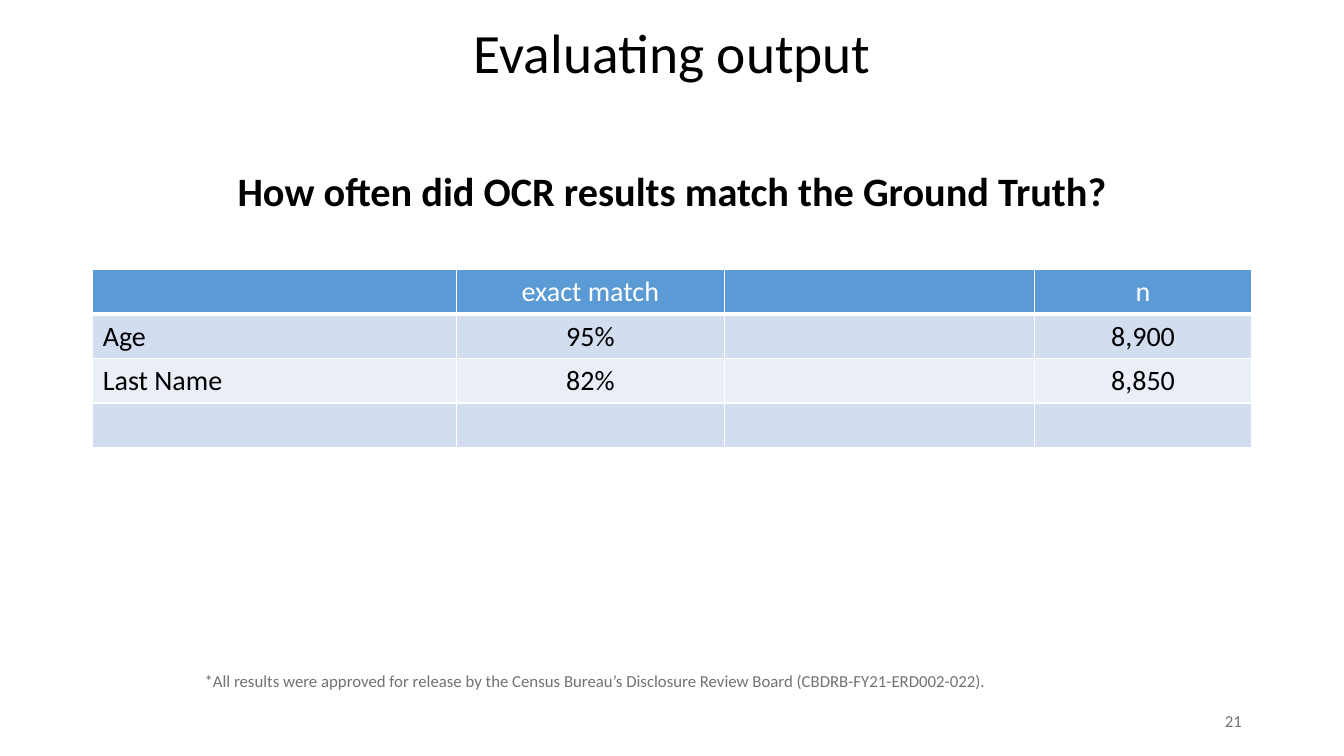
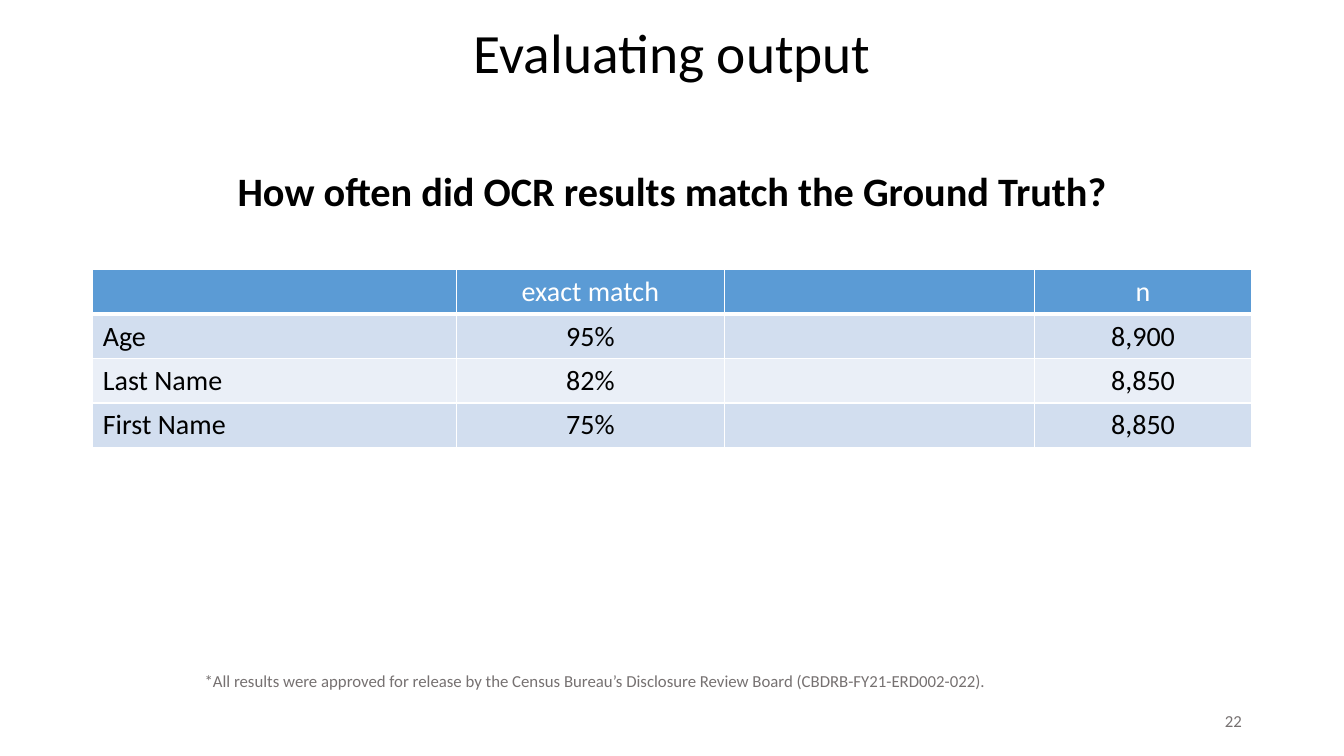
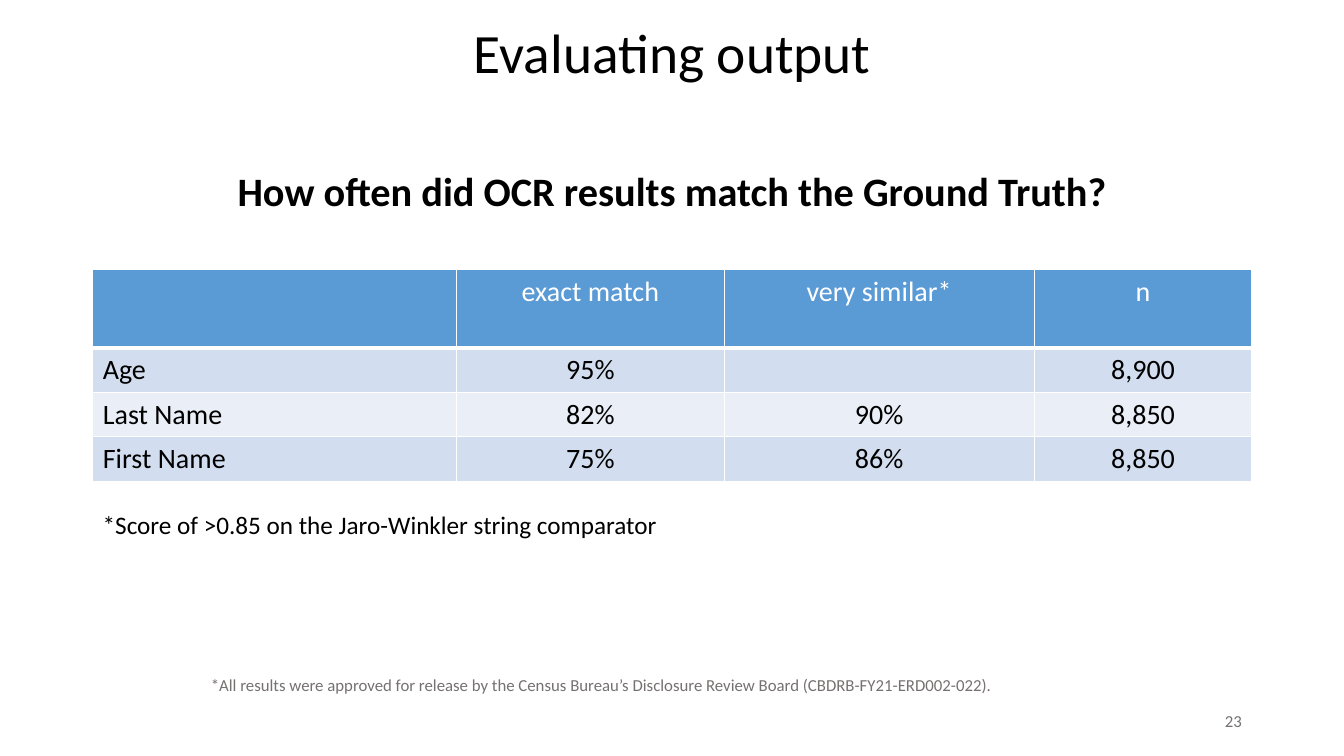
import pptx
import pptx.dml.color
import pptx.enum.text
import pptx.oxml
import pptx.oxml.ns
import pptx.util

Pt = pptx.util.Pt
ALIGN = pptx.enum.text.PP_ALIGN
ANCHOR = pptx.enum.text.MSO_ANCHOR
AUTO_SIZE = pptx.enum.text.MSO_AUTO_SIZE

TITLE = "Evaluating output"
QUESTION = "How often did OCR results match the Ground Truth?"
APPROVAL = ("*All results were approved for release by the Census Bureau’s "
            "Disclosure Review Board (CBDRB-FY21-ERD002-022).")
SCORE_NOTE = "*Score of >0.85 on the Jaro-Winkler string comparator"


def color(value):
    return pptx.dml.color.RGBColor.from_string(value)


def write(paragraph, text, size=20, fill="000000", bold=False, align=ALIGN.LEFT,
          line_spacing=None, before=None):
    """Add one formatted run to a paragraph."""
    paragraph.alignment = align
    if line_spacing is not None:
        paragraph.line_spacing = line_spacing
    if before is not None:
        paragraph.space_before = Pt(before)
    run = paragraph.add_run()
    run.text = text
    run.font.name = "Calibri"
    run.font.size = Pt(size)
    run.font.bold = bold
    run.font.color.rgb = color(fill)


class Deck:
    # Shared style
    BLACK, GRAY, WHITE = "000000", "767171", "FFFFFF"
    HEADER, BANDS = "5B9BD5", ("D2DEEF", "EAEFF7")
    LEFT, WIDTH = 66.24, 828
    COLUMNS = (260, 191, 221.5, 155.5)
    ROW_HEIGHT = 31.7

    def __init__(self):
        self.presentation = pptx.Presentation()
        self.presentation.slide_width = Pt(960)
        self.presentation.slide_height = Pt(540)
        self.slide = None

    def add_slide(self):
        layout = self.presentation.slide_layouts[5]
        self.slide = self.presentation.slides.add_slide(layout)

    def title(self, text, question):
        shape = self.slide.shapes.title
        shape.left, shape.top = Pt(self.LEFT), Pt(64.8)
        shape.width, shape.height = Pt(self.WIDTH), Pt(42.5)
        frame = shape.text_frame
        frame.word_wrap = True
        frame.auto_size = AUTO_SIZE.NONE
        frame.vertical_anchor = ANCHOR.MIDDLE
        write(frame.paragraphs[0], text, size=39.6, align=ALIGN.CENTER,
              line_spacing=0.9, before=0)
        write(frame.add_paragraph(), question, size=28.8, bold=True,
              align=ALIGN.CENTER, line_spacing=0.9, before=62)

    def text(self, text, left, top, width, height, anchor=ANCHOR.TOP, **style):
        shape = self.slide.shapes.add_textbox(Pt(left), Pt(top), Pt(width), Pt(height))
        frame = shape.text_frame
        frame.word_wrap = True
        frame.vertical_anchor = anchor
        write(frame.paragraphs[0], text, **style)

    def borders(self, cell, bottom=1):
        properties = cell._tc.get_or_add_tcPr()
        widths = {"lnL": 1, "lnR": 1, "lnT": 1, "lnB": bottom}
        for index, (tag, width) in enumerate(widths.items()):
            properties.insert(index, pptx.oxml.parse_xml(
                f'<a:{tag} {pptx.oxml.ns.nsdecls("a")} w="{Pt(width)}"><a:solidFill>'
                f'<a:srgbClr val="{self.WHITE}"/></a:solidFill></a:{tag}>'))

    def table(self, rows, header_height):
        heights = [header_height] + [self.ROW_HEIGHT] * (len(rows) - 1)
        table = self.slide.shapes.add_table(
            len(rows), len(self.COLUMNS), Pt(self.LEFT), Pt(192.5),
            Pt(self.WIDTH), Pt(sum(heights))).table
        for column, width in zip(table.columns, self.COLUMNS):
            column.width = Pt(width)
        for row_index, values in enumerate(rows):
            is_header = row_index == 0
            table.rows[row_index].height = Pt(heights[row_index])
            for column_index, value in enumerate(values):
                cell = table.cell(row_index, column_index)
                cell.fill.solid()
                cell.fill.fore_color.rgb = color(
                    self.HEADER if is_header else self.BANDS[(row_index - 1) % 2])
                self.borders(cell, bottom=3 if is_header else 1)
                if value:
                    write(cell.text_frame.paragraphs[0], value,
                          fill=self.WHITE if is_header else self.BLACK,
                          align=ALIGN.CENTER if column_index else ALIGN.LEFT)

    def footer(self, number, left, top):
        self.text(str(number), 678.24, 500.4, 216, 28.8, anchor=ANCHOR.MIDDLE,
                  size=12, fill=self.GRAY, align=ALIGN.RIGHT)
        self.text(APPROVAL, left, top, 673.2, 21.8, size=12, fill=self.GRAY)


def main():
    deck = Deck()

    # Results revealed step by step
    header = ("", "exact match", "", "n")
    age = ("Age", "95%", "", "8,900")
    last_name = ("Last Name", "82%", "", "8,850")
    first_name = ("First Name", "75%", "", "8,850")
    empty = ("",) * 4
    full = (("", "exact match", "very similar*", "n"), age,
            ("Last Name", "82%", "90%", "8,850"),
            ("First Name", "75%", "86%", "8,850"))

    # Rows, header height, place of the approval note
    steps = (
        ((header, age, last_name, empty), 32, (139, 475.2)),
        ((header, age, last_name, first_name), 32, (139, 475.2)),
        (full, 56, (143.5, 478.5)),
    )
    for number, (rows, header_height, note_place) in enumerate(steps, start=21):
        deck.add_slide()
        deck.title(TITLE, QUESTION)
        deck.table(rows, header_height)
        deck.footer(number, *note_place)

    # Explanation of the similarity score on the last slide
    deck.text(SCORE_NOTE, deck.LEFT, 360, 480, 29, size=18)

    deck.presentation.save("out.pptx")


if __name__ == "__main__":
    main()
